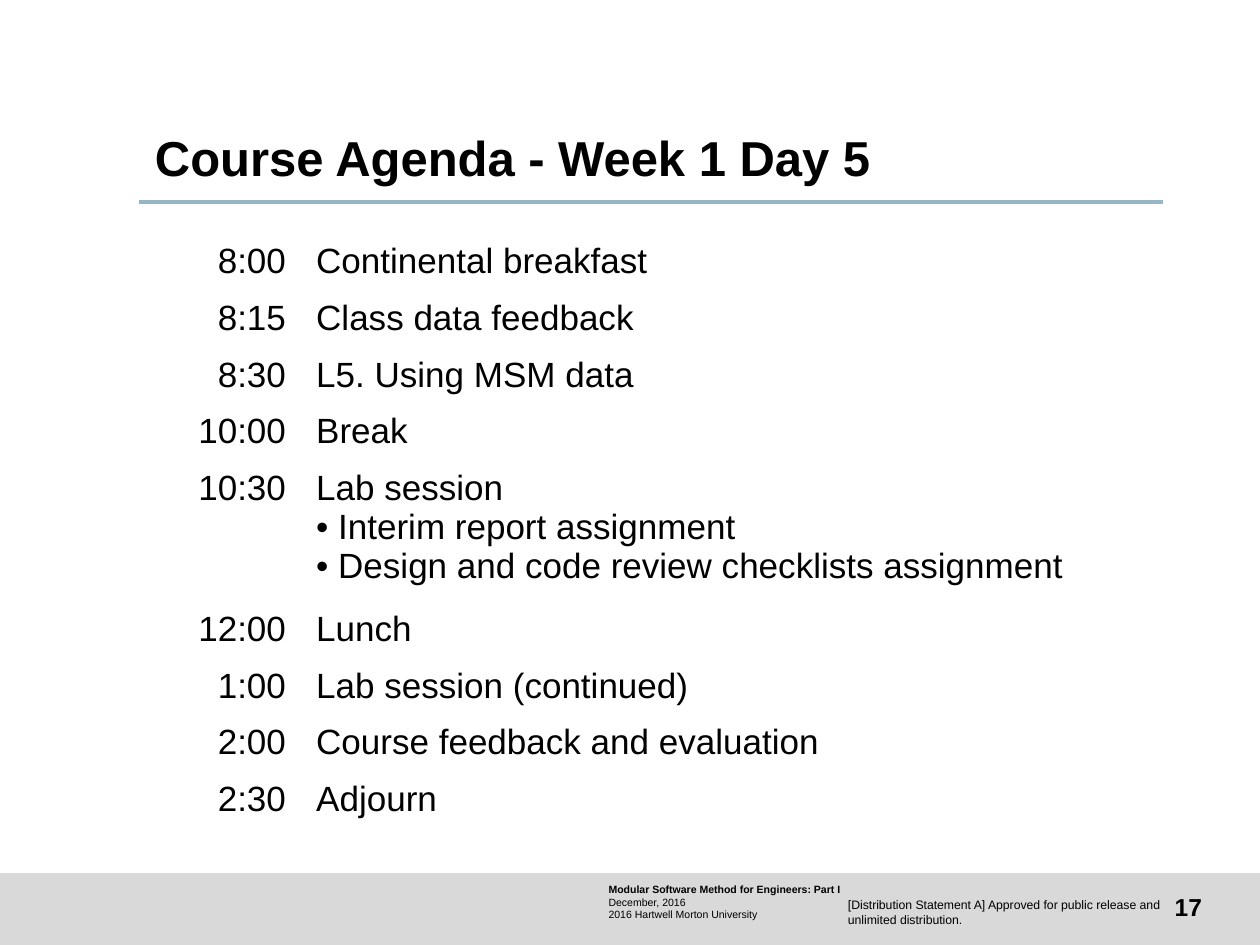
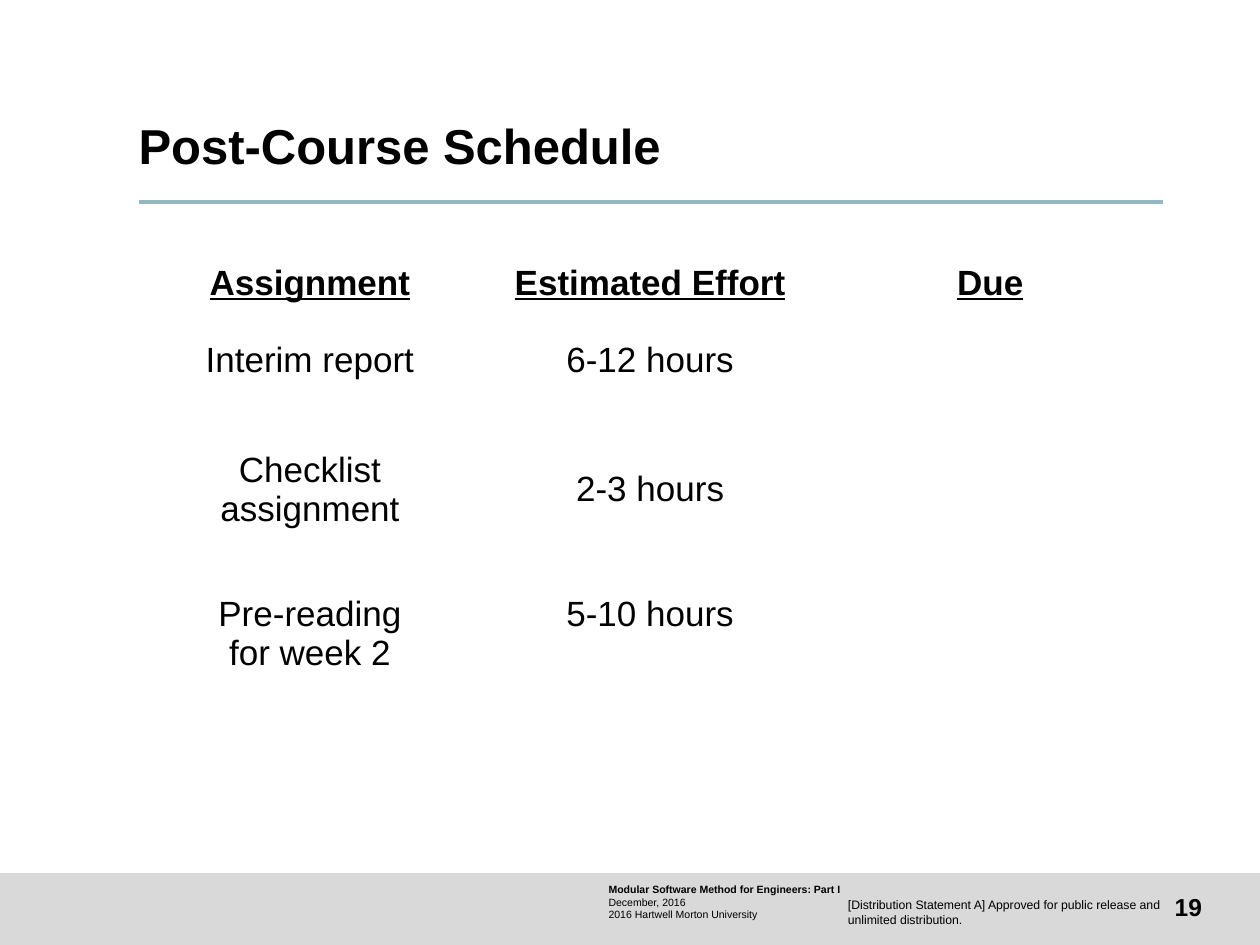
from dataclasses import dataclass
from typing import Any

from lxml import etree
from pptx import Presentation
from pptx import util as u
from pptx.dml.color import RGBColor
from pptx.enum import shapes, text

FONT = "Arial"
BLACK, GREY, BLUE = "000000", "D9D9D9", "97B6C3"
LEFT, CENTER, RIGHT = text.PP_ALIGN.LEFT, text.PP_ALIGN.CENTER, text.PP_ALIGN.RIGHT
TOP, MIDDLE = text.MSO_ANCHOR.TOP, text.MSO_ANCHOR.MIDDLE
PLAIN = {"size": u.Pt(20)}
HEAD = {"size": u.Pt(20), "bold": True, "underline": True}
TITLE = {"size": u.Pt(28), "bold": True}


@dataclass
class Label:
    """A text box; at is left, top, width, height in inches."""
    at: tuple[float, float, float, float]
    lines: list[str]
    styles: list[dict[str, Any]]
    pad: tuple[float, float, float, float] = (0, 0, 0, 0)
    align: Any = LEFT
    anchor: Any = TOP
    spacing: float = 1.0


@dataclass
class Grid:
    cols: list[float]
    heights: list[float]
    rows: list[tuple[str, ...]]
    aligns: list[Any]
    anchors: list[Any]
    pad: tuple[float, float, float, float]
    styles: list[dict[str, Any]]


@dataclass
class Page:
    number: int
    title: str
    pad: tuple[float, float, float, float]
    anchor: Any
    grid: Grid


AGENDA = [
    ("8:00", "Continental breakfast"),
    ("8:15", "Class data feedback"),
    ("8:30", "L5. Using MSM data"),
    ("10:00", "Break"),
    ("10:30", "Lab session\n• Interim report assignment\n"
              "• Design and code review checklists assignment"),
    ("12:00", "Lunch"),
    ("1:00", "Lab session (continued)"),
    ("2:00", "Course feedback and evaluation"),
    ("2:30", "Adjourn"),
]
TASKS = [
    ("Assignment", "Estimated Effort", "Due"),
    ("Interim report", "6-12 hours", ""),
    ("", "", ""),
    ("Checklist assignment", "2-3 hours", ""),
    ("", "", ""),
    ("Pre-reading\vfor week 2", "5-10 hours", ""),
]
PAGES = [
    Page(17, "Course Agenda - Week 1 Day 5", (0.13, 0.06, 0.13, 0.06), MIDDLE,
         Grid([1.28, 6.83], [1.12 if "\n" in what else 0.45 for _, what in AGENDA],
              AGENDA, [RIGHT, LEFT], [TOP] * len(AGENDA),
              (0.12, 0.05, 0.12, 0.05), [PLAIN] * len(AGENDA))),
    Page(19, "Post-Course Schedule", (0, 0, 0, 0), TOP,
         Grid([2.7] * 3, [0.75, 0.48, 0.38, 0.72, 0.38, 0.72],
              TASKS, [CENTER] * 3, [MIDDLE] * 5 + [TOP],
              (0.1, 0.05, 0.1, 0.05), [HEAD] + [PLAIN] * 5)),
]


def color(code: str) -> RGBColor:
    return RGBColor.from_string(code)


def put(item: Any, values: dict[str, Any]) -> None:
    for name, value in values.items():
        setattr(item, name, value)


def margins(pad: tuple[float, float, float, float]) -> dict[str, Any]:
    sides = ("left", "top", "right", "bottom")
    return {f"margin_{side}": u.Inches(gap) for side, gap in zip(sides, pad)}


def write(frame: Any, lines: list[str], styles: list[dict[str, Any]],
          align: Any, spacing: float = 1.0) -> None:
    """Fill a frame with one paragraph a line, each in its own style."""
    for i, (line, style) in enumerate(zip(lines, styles)):
        para = frame.add_paragraph() if i else frame.paragraphs[0]
        para.text = line
        put(para, {"alignment": align, "line_spacing": spacing})
        for run in para.runs:
            put(run.font, {"name": FONT, **style})
            run.font.color.rgb = color(BLACK)


def draw_label(slide: Any, label: Label) -> None:
    frame = slide.shapes.add_textbox(*map(u.Inches, label.at)).text_frame
    put(frame, {"word_wrap": True, "vertical_anchor": label.anchor, **margins(label.pad)})
    write(frame, label.lines, label.styles, label.align, label.spacing)


def draw_band(slide: Any) -> None:
    band = slide.shapes.add_shape(shapes.MSO_SHAPE.RECTANGLE, 0, u.Inches(6.93),
                                  u.Inches(10), u.Inches(0.57))
    band.shadow.inherit = False
    band.fill.solid()
    band.fill.fore_color.rgb = color(GREY)
    band.line.fill.background()


def draw_rule(slide: Any) -> None:
    ends = map(u.Inches, (1.1, 1.6, 9.23, 1.6))
    rule = slide.shapes.add_connector(shapes.MSO_CONNECTOR.STRAIGHT, *ends)
    rule.line.width = u.Pt(2.25)
    rule.line.color.rgb = color(BLUE)
    space = "http://schemas.openxmlformats.org/drawingml/2006/main"
    etree.SubElement(rule._element.spPr, f"{{{space}}}effectLst")


def draw_frame(slide: Any, page: Page) -> None:
    """Draw what the slides share: band, footers, rule and title."""
    draw_band(slide)
    small = {"size": u.Pt(6)}
    labels = [
        Label((4.83, 7.01, 2.21, 0.3),
              ["Modular Software Method for Engineers: Part I", "December, 2016",
               "2016 Hartwell Morton University"],
              [{**small, "bold": True}, small, small], (0, 0, 0.05, 0)),
        Label((8.98, 7, 0.56, 0.4), [str(page.number)],
              [{"size": u.Pt(14), "bold": True}], align=RIGHT, anchor=MIDDLE),
        Label((6.73, 7.12, 2.54, 0.23),
              ["[Distribution Statement A] Approved for public release and "
               "unlimited distribution."], [{"size": u.Pt(7)}]),
        Label((1.1, 0.97, 8.12, 0.61), [page.title], [TITLE], page.pad,
              anchor=page.anchor, spacing=0.9),
    ]
    for label in labels:
        draw_label(slide, label)
    draw_rule(slide)


def draw_grid(slide: Any, grid: Grid) -> None:
    size = map(u.Inches, (1.11, 1.87, sum(grid.cols), sum(grid.heights)))
    table = slide.shapes.add_table(len(grid.rows), len(grid.cols), *size).table
    put(table, {"first_row": False, "horz_banding": False})
    for col, width in zip(table.columns, grid.cols):
        col.width = u.Inches(width)
    for r, words in enumerate(grid.rows):
        table.rows[r].height = u.Inches(grid.heights[r])
        for c, word in enumerate(words):
            cell = table.cell(r, c)
            cell.fill.background()
            put(cell, {"vertical_anchor": grid.anchors[r], **margins(grid.pad)})
            lines = word.split("\n")
            write(cell.text_frame, lines, [grid.styles[r]] * len(lines), grid.aligns[c])


def main() -> None:
    deck = Presentation()
    put(deck, {"slide_width": u.Inches(10), "slide_height": u.Inches(7.5)})
    for page in PAGES:
        slide = deck.slides.add_slide(deck.slide_layouts[6])
        draw_frame(slide, page)
        draw_grid(slide, page.grid)
    deck.save("out.pptx")


if __name__ == "__main__":
    main()
